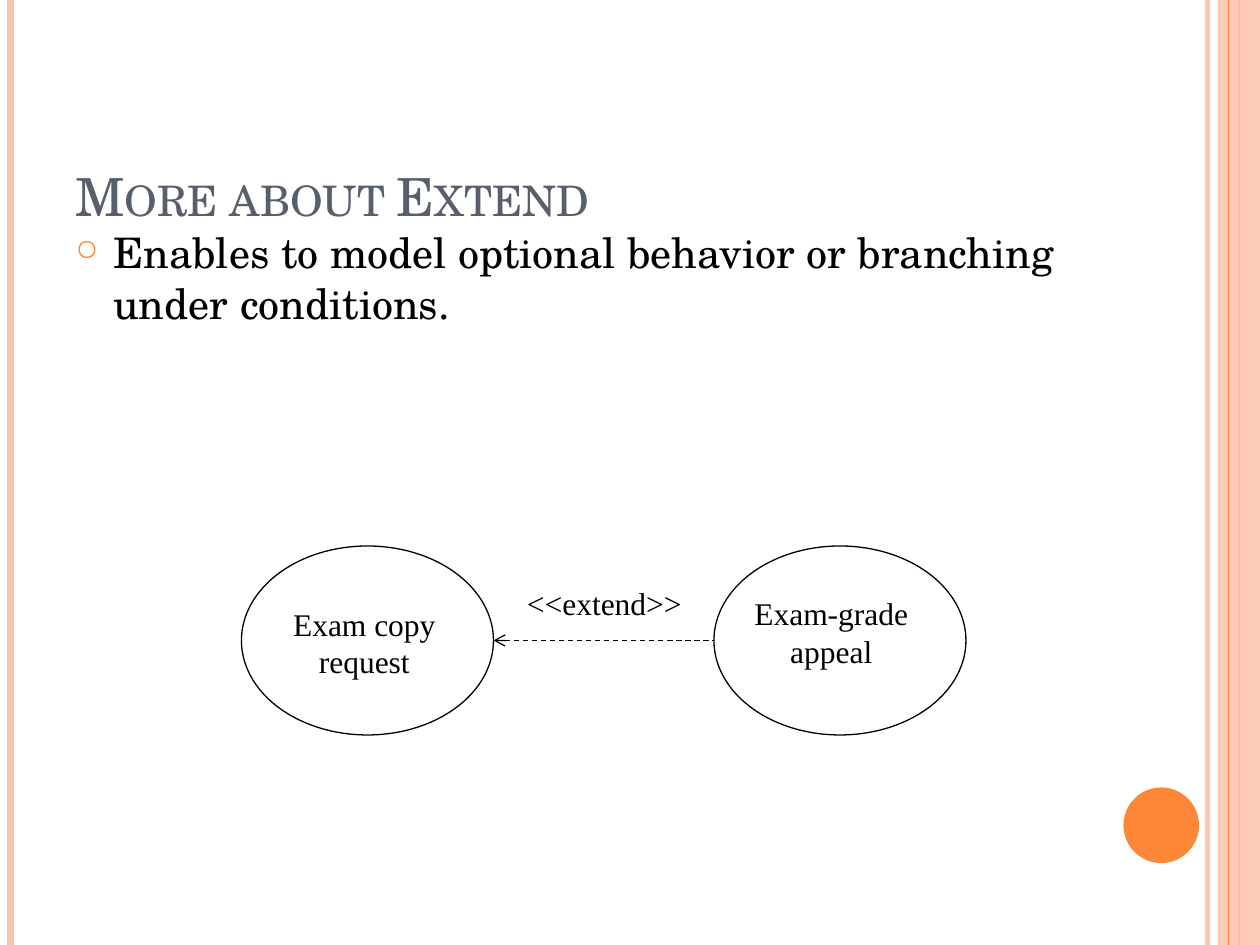
from lxml.etree import SubElement
from pptx import Presentation
from pptx.dml.color import RGBColor
from pptx.enum.dml import MSO_LINE_DASH_STYLE as DASH
from pptx.enum.shapes import MSO_CONNECTOR, MSO_SHAPE
from pptx.enum.text import MSO_ANCHOR, MSO_AUTO_SIZE, PP_ALIGN
from pptx.oxml.ns import qn
from pptx.util import Pt

BLACK = RGBColor(0x00, 0x00, 0x00)
SLATE = RGBColor(0x57, 0x5F, 0x6D)
ORANGE = RGBColor(0xFE, 0x86, 0x37)
PEACH = RGBColor(0xFE, 0xC3, 0xAE)
HEADING_FONT = "TeX Gyre Schola"
DIAGRAM_FONT = "Times New Roman"

WIDTH, HEIGHT = 720, 540
CASE_TOP, CASE_WIDTH, CASE_HEIGHT = 312, 144, 108
COPY_LEFT, APPEAL_LEFT = 138, 408


def set_opacity(fill_format, percent):
    color = fill_format._xPr.find(qn("a:solidFill"))[0]
    SubElement(color, qn("a:alpha"), val=str(percent * 1000))


def add_line(slide, start, end, color, width):
    line = slide.shapes.add_connector(
        MSO_CONNECTOR.STRAIGHT, *(Pt(value) for value in (*start, *end)))
    line.line.color.rgb = color
    line.line.width = Pt(width)
    SubElement(line._element.spPr, qn("a:effectLst"))
    return line


def add_stripe(slide, x, color, width):
    return add_line(slide, (x, 0), (x, HEIGHT), color, width)


def add_shape(slide, kind, box, fill=None, outline=None):
    shape = slide.shapes.add_shape(kind, *(Pt(value) for value in box))
    shape.shadow.inherit = False
    if fill is None:
        shape.fill.background()
    else:
        shape.fill.solid()
        shape.fill.fore_color.rgb = fill
    if outline is None:
        shape.line.fill.background()
    else:
        shape.line.color.rgb = outline
        shape.line.width = Pt(0.75)
    return shape


def add_text(slide, box, text, font, size, color=BLACK, wrap=True):
    """Add a one-paragraph text box and return its text frame."""
    text_frame = slide.shapes.add_textbox(*(Pt(value) for value in box)).text_frame
    text_frame.word_wrap = wrap
    text_frame.text = text
    run_font = text_frame.paragraphs[0].runs[0].font
    run_font.name = font
    run_font.size = Pt(size)
    run_font.color.rgb = color
    return text_frame


def add_bullet(paragraph, character, color, percent, indent):
    properties = paragraph._p.get_or_add_pPr()
    properties.set("marL", str(Pt(indent)))
    properties.set("indent", str(-Pt(indent)))
    bullet_color = SubElement(properties, qn("a:buClr"))
    SubElement(bullet_color, qn("a:srgbClr"), val=str(color))
    SubElement(properties, qn("a:buSzPct"), val=str(percent * 1000))
    SubElement(properties, qn("a:buChar"), char=character)


def add_label(slide, box, text, wrap=True):
    text_frame = add_text(slide, box, text, DIAGRAM_FONT, 18, wrap=wrap)
    text_frame.auto_size = MSO_AUTO_SIZE.SHAPE_TO_FIT_TEXT
    if wrap:
        text_frame.paragraphs[0].alignment = PP_ALIGN.CENTER


def add_use_case(slide, left, label_box, text):
    add_shape(slide, MSO_SHAPE.OVAL, (left, CASE_TOP, CASE_WIDTH, CASE_HEIGHT),
              outline=BLACK)
    add_label(slide, label_box, text)


def add_extend_arrow(slide):
    middle = CASE_TOP + CASE_HEIGHT / 2
    arrow = add_line(slide, (COPY_LEFT + CASE_WIDTH, middle),
                     (APPEAL_LEFT, middle), BLACK, 0.75)
    arrow.line.dash_style = DASH.DASH
    SubElement(arrow.line._get_or_add_ln(), qn("a:headEnd"), type="arrow")


def add_decoration(slide):
    set_opacity(add_stripe(slide, 690, PEACH, 3).line.fill, 93)
    add_stripe(slide, 6, PEACH, 4.5)
    add_stripe(slide, 708, ORANGE, 1.5)
    band = add_shape(slide, MSO_SHAPE.RECTANGLE, (696, 0, 24, HEIGHT), PEACH)
    set_opacity(band.fill, 87)
    add_stripe(slide, 702, ORANGE, 0.75)
    add_shape(slide, MSO_SHAPE.OVAL, (642, 450, 43.2, 43.2), ORANGE)


def add_title(slide, text):
    text_frame = add_text(slide, (36, 21.6, 588, 111.6), text,
                          HEADING_FONT, 30, SLATE)
    text_frame.vertical_anchor = MSO_ANCHOR.BOTTOM
    run = text_frame.paragraphs[0].runs[0]
    run._r.get_or_add_rPr().set("cap", "small")


def add_body(slide, text):
    text_frame = add_text(slide, (36, 126, 588, 384), text, HEADING_FONT, 24)
    add_bullet(text_frame.paragraphs[0], "○", ORANGE, 70, 21.6)


def main():
    presentation = Presentation()
    presentation.slide_width = Pt(WIDTH)
    presentation.slide_height = Pt(HEIGHT)
    slide = presentation.slides.add_slide(presentation.slide_layouts[6])

    add_decoration(slide)
    add_title(slide, "More about Extend")
    add_body(slide, "Enables to model optional behavior or branching under conditions.")
    add_use_case(slide, COPY_LEFT, (156, 342, 104.4, 50.4), "Exam copy request")
    add_use_case(slide, APPEAL_LEFT, (420, 336, 110, 50.4), "Exam-grade appeal")
    add_extend_arrow(slide)
    add_label(slide, (294, 330, 103, 28.8), "<<extend>>", wrap=False)

    presentation.save("out.pptx")


if __name__ == "__main__":
    main()
